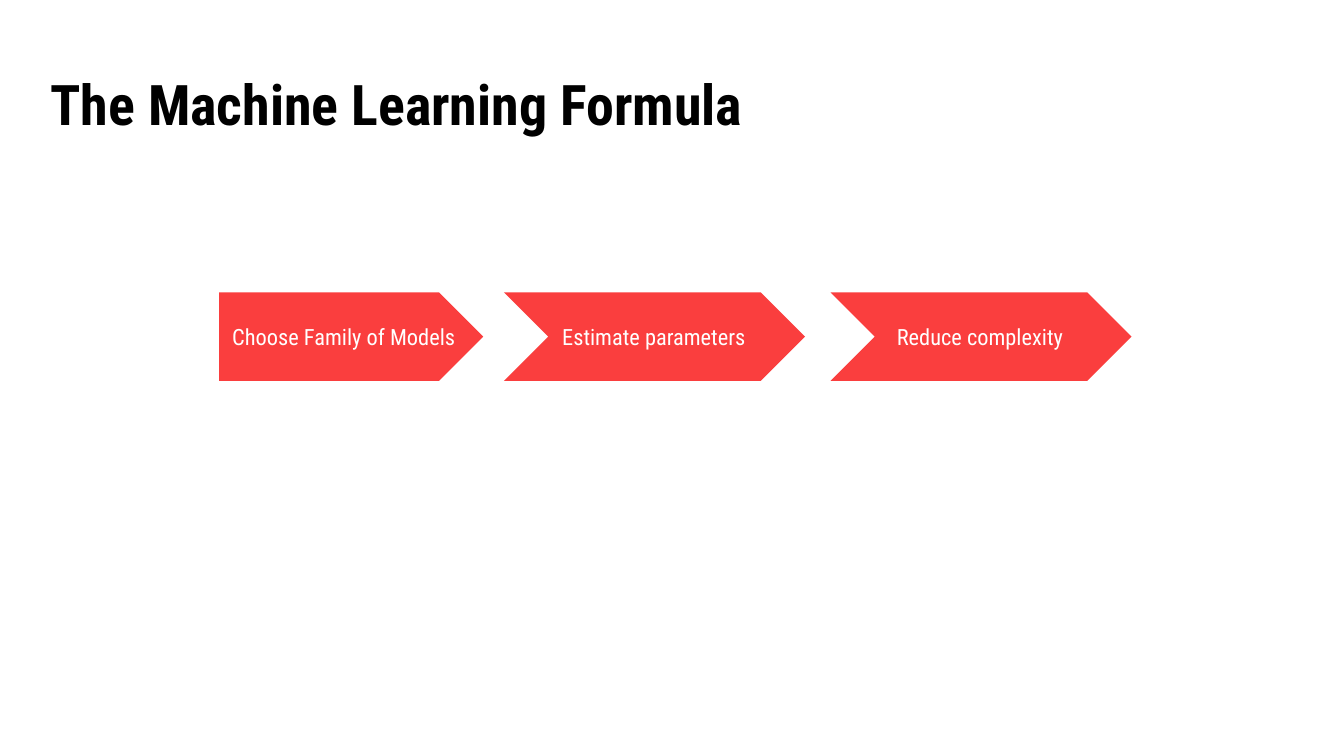
from pptx import Presentation
from pptx import util as u
from pptx.dml.color import RGBColor
from pptx.enum import shapes, text

PX = 4572
FONT = "Roboto Condensed"
RED, WHITE, BLACK = "FA3E3E", "FFFFFF", "000000"
ARROW_TOP, ARROW_HEIGHT = 435, 132
LABEL_TOP, LABEL_WIDTH, LABEL_HEIGHT = 467, 494, 68
PENTAGON = shapes.MSO_SHAPE.PENTAGON
CHEVRON = shapes.MSO_SHAPE.CHEVRON
STEPS = [
    ("Choose Family of Models", PENTAGON, 326, 393, 326),
    ("Estimate parameters", CHEVRON, 750, 448, 817),
    ("Reduce complexity", CHEVRON, 1236, 448, 1315),
]


def px(*lengths):
    return [u.Emu(length * PX) for length in lengths]


def colour(value):
    return RGBColor.from_string(value)


def set_all(target, values):
    for name, value in values.items():
        setattr(target, name, value)


def write(shape, words, size, ink, bold=False):
    frame = shape.text_frame
    inset = px(20)[0]
    set_all(frame, {
        "word_wrap": True,
        "auto_size": text.MSO_AUTO_SIZE.NONE,
        "vertical_anchor": text.MSO_ANCHOR.MIDDLE,
        "margin_left": inset,
        "margin_right": inset,
        "margin_top": inset,
        "margin_bottom": inset,
    })
    paragraph = frame.paragraphs[0]
    paragraph.alignment = text.PP_ALIGN.LEFT
    run = paragraph.add_run()
    run.text = words
    set_all(run.font, {"name": FONT, "size": u.Pt(size), "bold": bold})
    run.font.color.rgb = colour(ink)


def add_title(slide, words):
    title = slide.shapes.title
    left, top, width, height = px(55, 86, 1630, 136)
    set_all(title, {"left": left, "top": top, "width": width, "height": height})
    write(title, words, 30, BLACK, bold=True)


def add_arrow(slide, kind, left, width):
    shape = slide.shapes.add_shape(kind, *px(left, ARROW_TOP, width, ARROW_HEIGHT))
    shape.adjustments[0] = 0.5
    shape.shadow.inherit = False
    shape.fill.solid()
    shape.fill.fore_color.rgb = colour(RED)
    shape.line.fill.background()


def add_label(slide, words, left):
    box = slide.shapes.add_textbox(*px(left, LABEL_TOP, LABEL_WIDTH, LABEL_HEIGHT))
    write(box, words, 12, WHITE)


def main():
    presentation = Presentation()
    width, height = px(2000, 1125)
    set_all(presentation, {"slide_width": width, "slide_height": height})
    slide = presentation.slides.add_slide(presentation.slide_layouts[5])
    slide.background.fill.solid()
    slide.background.fill.fore_color.rgb = colour(WHITE)
    add_title(slide, "The Machine Learning Formula")
    for words, kind, arrow_left, arrow_width, label_left in STEPS:
        add_arrow(slide, kind, arrow_left, arrow_width)
        add_label(slide, words, label_left)
    presentation.save("out.pptx")


if __name__ == "__main__":
    main()
